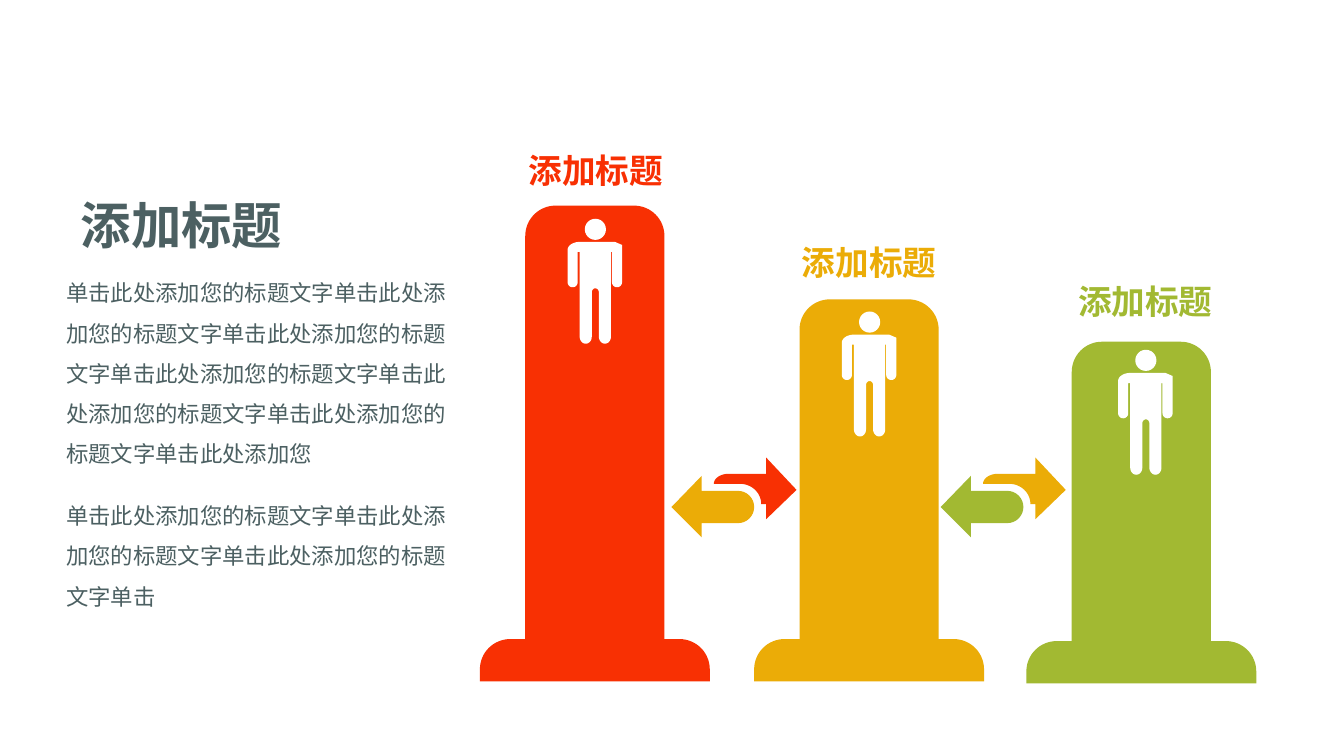
from dataclasses import dataclass
from math import cos, radians, sin

from lxml import etree
from pptx import Presentation
from pptx.dml.color import RGBColor
from pptx.enum.shapes import MSO_SHAPE
from pptx.enum.text import MSO_AUTO_SIZE, PP_ALIGN
from pptx.oxml.ns import qn
from pptx.util import Inches, Pt

OVAL = MSO_SHAPE.OVAL
CENTER, LEFT = PP_ALIGN.CENTER, PP_ALIGN.LEFT
GROW = MSO_AUTO_SIZE.SHAPE_TO_FIT_TEXT

FONT = "Noto Sans CJK SC"
RED, AMBER, GREEN = "F83003", "EBAC07", "A2B932"
SLATE, WHITE = "4C6062", "FFFFFF"
TITLE = "添加标题"
PHRASE = "单击此处添加您的标题文字"

Point = tuple[float, float]


@dataclass
class Pillar:
    left: float
    top: float
    bottom: float
    person_left: float
    person_top: float
    title_left: float
    title_top: float
    color: str


@dataclass
class Exchange:
    left: float
    back_color: str
    forward_color: str


@dataclass
class Caption:
    text: str
    left: float
    top: float
    width: float
    height: float
    size: int
    color: str
    bold: bool = True
    align: PP_ALIGN = CENTER
    spacing: float = 1.0


PILLARS = [
    Pillar(4.76, 2.04, 6.76, 5.63, 2.4, 4.67, 1.44, RED),
    Pillar(7.48, 2.97, 6.76, 8.35, 3.32, 7.38, 2.35, AMBER),
    Pillar(10.18, 3.39, 6.78, 11.09, 3.7, 10.12, 2.74, GREEN),
]
EXCHANGES = [Exchange(6.66, AMBER, RED), Exchange(9.33, GREEN, AMBER)]
PASSAGES = [
    Caption(PHRASE * 6 + "单击此处添加您", 0.56, 2.59, 4.14, 2.12, 16, SLATE, False, LEFT, 1.5),
    Caption(PHRASE * 3 + "单击", 0.56, 4.8, 4.14, 1.31, 16, SLATE, False, LEFT, 1.5),
]
HEADING = Caption(TITLE, 0.56, 1.88, 2.48, 0.71, 36, SLATE)


def arc(x: float, y: float, rx: float, ry: float, start: int, end: int) -> list[Point]:
    steps = 16
    angles = [radians(start + (end - start) * i / steps) for i in range(steps + 1)]
    return [(x + rx * cos(a), y + ry * sin(a)) for a in angles]


PERSON = [
    *arc(0.12, 0.08, 0.12, 0.08, 180, 270),
    (0.47, 0), (0.54, 0.03),
    *arc(0.49, 0.4, 0.05, 0.05, 0, 180),
    (0.44, 0.1), (0.43, 0.1),
    *arc(0.37, 0.94, 0.06, 0.07, 0, 180),
    *arc(0.275, 0.5, 0.035, 0.04, 0, -180),
    *arc(0.18, 0.94, 0.06, 0.07, 0, 180),
    (0.12, 0.1), (0.1, 0.1),
    *arc(0.05, 0.4, 0.05, 0.05, 0, 180),
]
BACK_ARROW = [
    (0.3, 0.15), (0.3, 0), (0, 0.31), (0.3, 0.61), (0.3, 0.47),
    *arc(0.66, 0.31, 0.16, 0.16, 90, -90),
]
FORWARD_ARROW = [
    *arc(0.15, 0.26, 0.15, 0.1, 180, 270),
    (0.52, 0.16), (0.52, 0), (0.82, 0.32), (0.52, 0.61), (0.52, 0.46),
    *arc(0.26, 0.46, 0.21, 0.2, 0, -90),
]


def pillar_outline(height: float) -> list[Point]:
    shoulder = height - 0.42
    return [
        (0, height),
        *arc(0.3, shoulder + 0.3, 0.3, 0.3, 180, 270),
        (0.45, shoulder),
        *arc(0.75, 0.3, 0.3, 0.3, 180, 270),
        *arc(1.53, 0.3, 0.3, 0.3, 270, 360),
        (1.83, shoulder),
        *arc(1.98, shoulder + 0.3, 0.3, 0.3, 270, 360),
        (2.28, height),
    ]


def rgb(color: str) -> RGBColor:
    return RGBColor.from_string(color)


def paint(shape, color: str) -> None:
    shape.shadow.inherit = False
    shape.fill.solid()
    shape.fill.fore_color.rgb = rgb(color)
    shape.line.fill.background()


def draw_outline(slide, outline: list[Point], left: float, top: float, color: str) -> None:
    points = [(Inches(left + x), Inches(top + y)) for x, y in outline]
    builder = slide.shapes.build_freeform(*points[0])
    builder.add_line_segments(points[1:], close=True)
    paint(builder.convert_to_shape(), color)


def draw_caption(slide, caption: Caption) -> None:
    box = slide.shapes.add_textbox(
        Inches(caption.left), Inches(caption.top), Inches(caption.width), Inches(caption.height))
    frame = box.text_frame
    frame.word_wrap = True
    frame.auto_size = GROW
    paragraph = frame.paragraphs[0]
    paragraph.text = caption.text
    paragraph.alignment = caption.align
    paragraph.line_spacing = caption.spacing
    font = paragraph.font
    font.size = Pt(caption.size)
    font.bold = caption.bold
    font.color.rgb = rgb(caption.color)
    font.name = FONT
    defaults = paragraph._p.get_or_add_pPr().find(qn("a:defRPr"))
    etree.SubElement(defaults, qn("a:ea"), typeface=FONT)


def draw_pillar(slide, pillar: Pillar) -> None:
    outline = pillar_outline(pillar.bottom - pillar.top)
    draw_outline(slide, outline, pillar.left, pillar.top, pillar.color)
    head = slide.shapes.add_shape(
        OVAL, Inches(pillar.person_left + 0.17), Inches(pillar.person_top - 0.23),
        Inches(0.21), Inches(0.21))
    paint(head, WHITE)
    draw_outline(slide, PERSON, pillar.person_left, pillar.person_top, WHITE)
    draw_caption(slide, Caption(
        TITLE, pillar.title_left, pillar.title_top, 2.48, 0.5, 24, pillar.color))


def draw_exchange(slide, exchange: Exchange) -> None:
    draw_outline(slide, BACK_ARROW, exchange.left, 4.72, exchange.back_color)
    draw_outline(slide, FORWARD_ARROW, exchange.left + 0.42, 4.54, exchange.forward_color)


def main() -> None:
    deck = Presentation()
    deck.slide_width, deck.slide_height = Inches(13.33), Inches(7.5)
    slide = deck.slides.add_slide(deck.slide_layouts[6])
    for pillar in PILLARS:
        draw_pillar(slide, pillar)
    for exchange in EXCHANGES:
        draw_exchange(slide, exchange)
    for caption in [*PASSAGES, HEADING]:
        draw_caption(slide, caption)
    deck.save("out.pptx")


if __name__ == "__main__":
    main()
